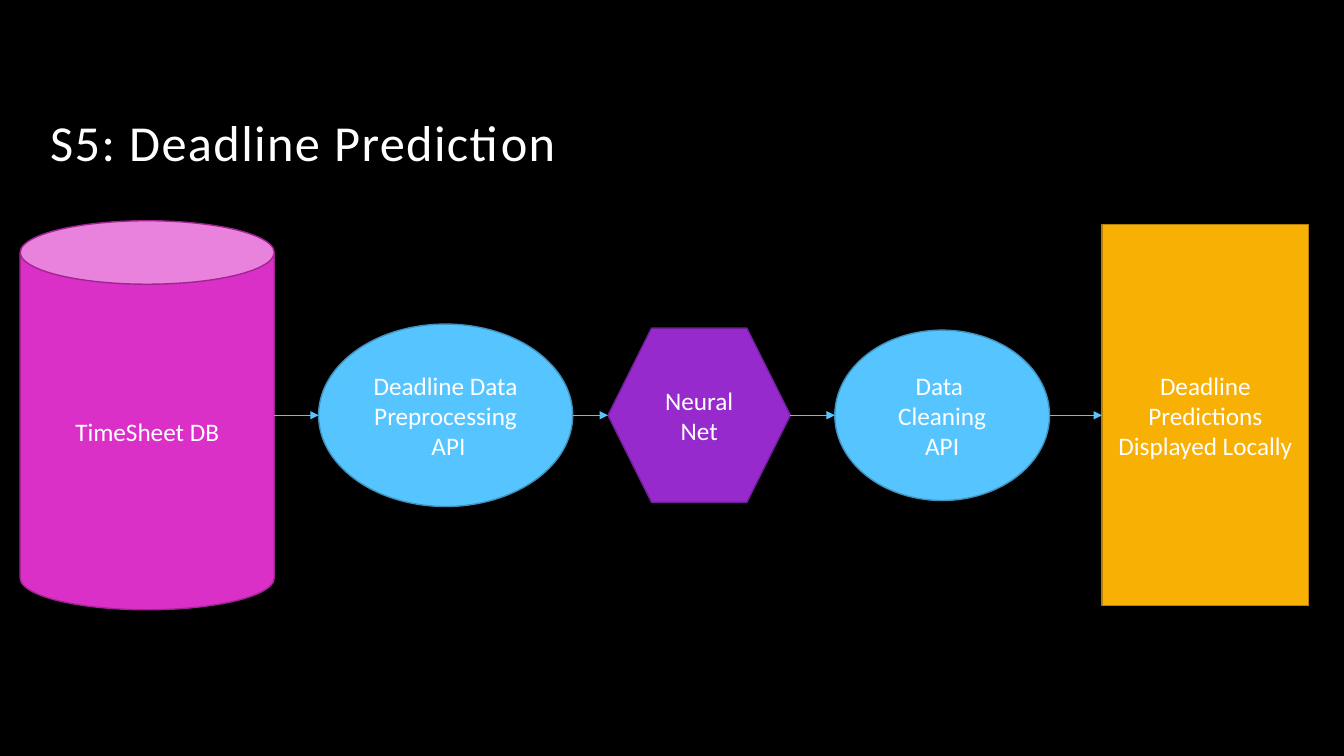
from lxml import etree
from pptx import Presentation
from pptx.dml.color import RGBColor
from pptx.enum.shapes import MSO_CONNECTOR as CONN, MSO_SHAPE as SHAPE
from pptx.enum.text import MSO_ANCHOR as ANCHOR, PP_ALIGN as ALIGN
from pptx.oxml.ns import qn
from pptx.util import Inches, Pt

COLORS = {
    "back": "000000", "text": "FFFFFF",
    "store": "DB30C7", "store_line": "A22493",
    "api": "56C5FF", "api_line": "4092BD",
    "net": "972ACD", "net_line": "701F98",
    "view": "F8B004", "view_line": "B78203",
}
UNIT = 0.1  # inches per grid column and row
AXIS = 41.2  # row on which the whole flow is centred


def grid(n):
    return Inches(n * UNIT)


def rgb(name):
    return RGBColor.from_string(COLORS[name])


class Deck:
    font = "Calibri"

    def __init__(self):
        self.prs = Presentation()
        self.prs.slide_width, self.prs.slide_height = Inches(13.33), Inches(7.5)
        self.s = self.prs.slides.add_slide(self.prs.slide_layouts[6])
        fill = self.s.background.fill
        fill.solid()
        fill.fore_color.rgb = rgb("back")

    def set_text(self, tf, text, size, align, anchor):
        tf.word_wrap = True
        tf.vertical_anchor = anchor
        tf.text = text
        for p in tf.paragraphs:
            p.alignment = align
            for r in p.runs:
                r.font.name, r.font.size = self.font, Pt(size)
                r.font.color.rgb = rgb("text")

    def title(self, text, col, row, cols, rows):
        tf = self.s.shapes.add_textbox(*map(grid, (col, row, cols, rows))).text_frame
        self.set_text(tf, text, 36, ALIGN.LEFT, ANCHOR.BOTTOM)
        p = tf.paragraphs[0]
        p.line_spacing = 0.9
        p.runs[0]._r.get_or_add_rPr().set("spc", "100")

    def node(self, kind, color, text, col, cols, rows):
        box = map(grid, (col, AXIS - rows / 2, cols, rows))
        sp = self.s.shapes.add_shape(kind, *box)
        sp.shadow.inherit = False
        sp.fill.solid()
        sp.fill.fore_color.rgb = rgb(color)
        sp.line.color.rgb = rgb(color + "_line")
        sp.line.width = Pt(1)
        self.set_text(sp.text_frame, text, 18, ALIGN.CENTER, ANCHOR.MIDDLE)
        return sp

    def arrow(self, left, right):
        y = grid(AXIS)
        cx = self.s.shapes.add_connector(
            CONN.STRAIGHT, left.left + left.width, y, right.left, y)
        if right.auto_shape_type == SHAPE.RECTANGLE:
            cx.end_connect(right, 1)
        cx.line.color.rgb = rgb("api")
        cx.line.width = Pt(0.5)
        sp_pr = cx._element.spPr
        etree.SubElement(sp_pr.find(qn("a:ln")), qn("a:tailEnd"), type="triangle")
        etree.SubElement(sp_pr, qn("a:effectLst"))


def main():
    deck = Deck()
    deck.title("S5: Deadline Prediction", 4, 2.6, 100, 15)

    # Steps: shape, colour, text, column, width, height
    steps = [
        (SHAPE.CAN, "store", "TimeSheet DB", 2, 25.2, 38.6),
        (SHAPE.OVAL, "api", "Deadline Data Preprocessing\n API", 31.6, 25.2, 18.1),
        (SHAPE.HEXAGON, "net", "Neural Net", 60.3, 18.1, 17.3),
        (SHAPE.OVAL, "api", "Data \nCleaning\nAPI", 82.8, 21.3, 16.9),
        (SHAPE.RECTANGLE, "view", "Deadline Predictions Displayed Locally",
         109.3, 20.5, 37.8),
    ]
    nodes = [deck.node(*step) for step in steps]

    # Arrows between neighbours
    for left, right in zip(nodes, nodes[1:]):
        deck.arrow(left, right)

    deck.prs.save("out.pptx")


if __name__ == "__main__":
    main()
